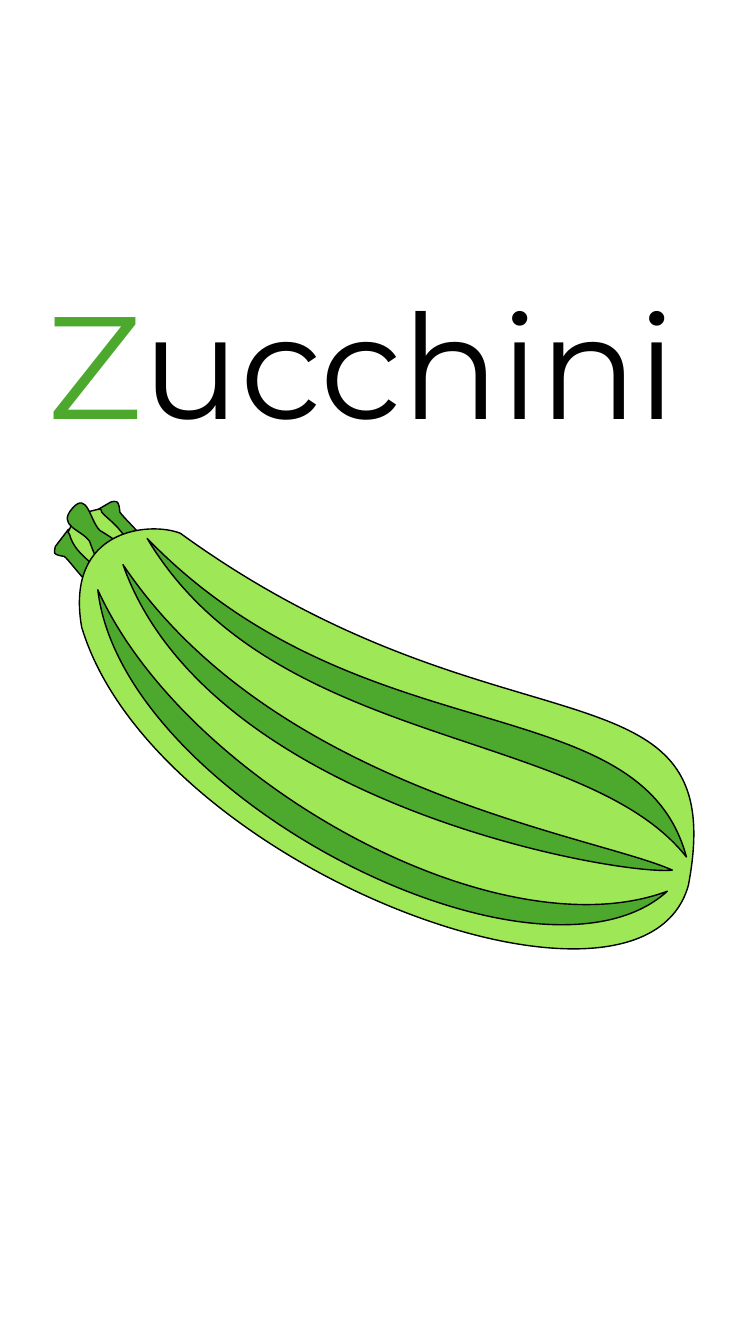
from lxml import etree
from pptx import Presentation, util as u
from pptx.dml.color import RGBColor
from pptx.enum import text
from pptx.oxml.ns import qn

BLACK, DARK, LIGHT = "000000", "4DA82E", "9EE756"
CURVE_STEPS = 32

STEM = [
    (DARK, (0.55, 5.42), [
        (0.68, 5.25), (0.87, 5.41, 1.06, 5.57, 1.24, 5.73), (1.11, 5.89),
        (0.95, 5.95, 0.73, 5.6, 0.64, 5.52), (0.51, 5.5, 0.54, 5.48, 0.55, 5.42)]),
    (DARK, (1.1, 4.98), [
        (0.91, 5.09), (1.05, 5.29, 1.19, 5.5, 1.33, 5.7), (1.5, 5.58),
        (1.58, 5.44, 1.26, 5.18, 1.19, 5.08), (1.18, 4.95, 1.15, 4.97, 1.1, 4.98)]),
    (LIGHT, (1, 5.05), [
        (0.98, 5.04, 0.8, 5.11, 0.76, 5.08), (0.69, 5.25),
        (0.67, 5.27, 0.67, 5.29, 0.69, 5.3), (0.75, 5.53, 1, 5.6, 1.09, 5.81),
        (1.1, 5.82, 1.16, 5.74, 1.18, 5.72), (1.28, 5.62),
        (1.29, 5.6, 1.32, 5.57, 1.31, 5.56), (1.3, 5.24, 0.99, 5.12, 1, 5.05)]),
    (DARK, (0.99, 5.26), [
        (0.89, 5.16, 0.87, 4.87, 0.72, 5.04), (0.56, 5.22, 0.81, 5.25, 0.89, 5.37),
        (1.01, 5.72, 1.08, 5.64, 1.17, 5.78), (1.37, 5.66),
        (1.18, 5.55, 1.49, 5.56, 0.99, 5.26)]),
]
BODY = [
    (LIGHT, (1.79, 5.29), [
        (1.49, 5.17, 0.64, 5.24, 0.81, 6.22), (1.52, 8.59, 6.37, 10.43, 6.83, 8.78),
        (7.27, 6.45, 4.96, 7.59, 1.79, 5.29)]),
]
STRIPES = [
    (DARK, (6.81, 8.5), [
        (5.79, 7.21, 2.71, 7.44, 1.46, 5.34), (3.57, 7.52, 6.35, 6.79, 6.81, 8.5)]),
    (DARK, (6.67, 8.63), [
        (6.15, 8.69, 2.06, 7.98, 1.22, 5.6), (2.72, 7.84, 5.92, 8.29, 6.67, 8.63)]),
    (DARK, (6.62, 8.84), [
        (5.34, 10, 1.21, 7.91, 0.97, 5.85), (1.83, 7.75, 4.93, 9.47, 6.62, 8.84)]),
]


def rgb(color):
    return RGBColor.from_string(color)


def to_points(numbers):
    lengths = [u.Inches(n) for n in numbers]
    return list(zip(lengths[::2], lengths[1::2]))


def curve_points(start, controls):
    points = []
    for i in range(1, CURVE_STEPS + 1):
        t = i / CURVE_STEPS
        v = 1 - t
        points.append(tuple(
            round(v**3 * a + 3 * v * v * t * b + 3 * v * t * t * c + t**3 * d)
            for a, b, c, d in zip(start, *controls)))
    return points


def set_curves(sp, segments):
    path = next(sp._element.iter(qn("a:path")))
    for line in path.findall(qn("a:lnTo")):
        path.remove(line)
    close = path.find(qn("a:close"))
    for points in segments:
        tag = "a:lnTo" if len(points) == 1 else "a:cubicBezTo"
        step = etree.Element(qn(tag))
        for x, y in points:
            etree.SubElement(step, qn("a:pt"), x=str(x - sp.left), y=str(y - sp.top))
        close.addprevious(step)


def add_outline(shapes, color, start, segments):
    segments = [to_points(segment) for segment in segments]
    points = to_points(start)
    for segment in segments:
        points += segment if len(segment) == 1 else curve_points(points[-1], segment)
    builder = shapes.build_freeform(*points[0])
    builder.add_line_segments(points[1:], close=True)
    sp = builder.convert_to_shape()
    set_curves(sp, segments)
    sp.shadow.inherit = False
    sp.fill.solid()
    sp.fill.fore_color.rgb = rgb(color)
    sp.line.color.rgb = rgb(BLACK)
    sp.line.width = u.Pt(1)


def add_title(s, runs):
    sp = s.shapes.title
    sp.left, sp.top, sp.width, sp.height = map(u.Inches, (0.37, 2.67, 7.53, 1.85))
    tf = sp.text_frame
    tf.word_wrap = True
    tf.auto_size = text.MSO_AUTO_SIZE.NONE
    tf.vertical_anchor = text.MSO_ANCHOR.TOP
    p = tf.paragraphs[0]
    p.alignment = text.PP_ALIGN.LEFT
    p.font.name = "Montserrat"
    p.font.size = u.Pt(104)
    for wording, color in runs:
        r = p.add_run()
        r.text = wording
        r.font.color.rgb = rgb(color)


def main():
    prs = Presentation()
    prs.slide_width, prs.slide_height = u.Inches(7.5), u.Inches(13.33)
    s = prs.slides.add_slide(prs.slide_layouts[5])
    add_title(s, [("Z", DARK), ("ucchini", BLACK)])
    zucchini = s.shapes.add_group_shape()
    for outline in STEM + BODY + STRIPES:
        add_outline(zucchini.shapes, *outline)
    prs.save("out.pptx")


if __name__ == "__main__":
    main()
